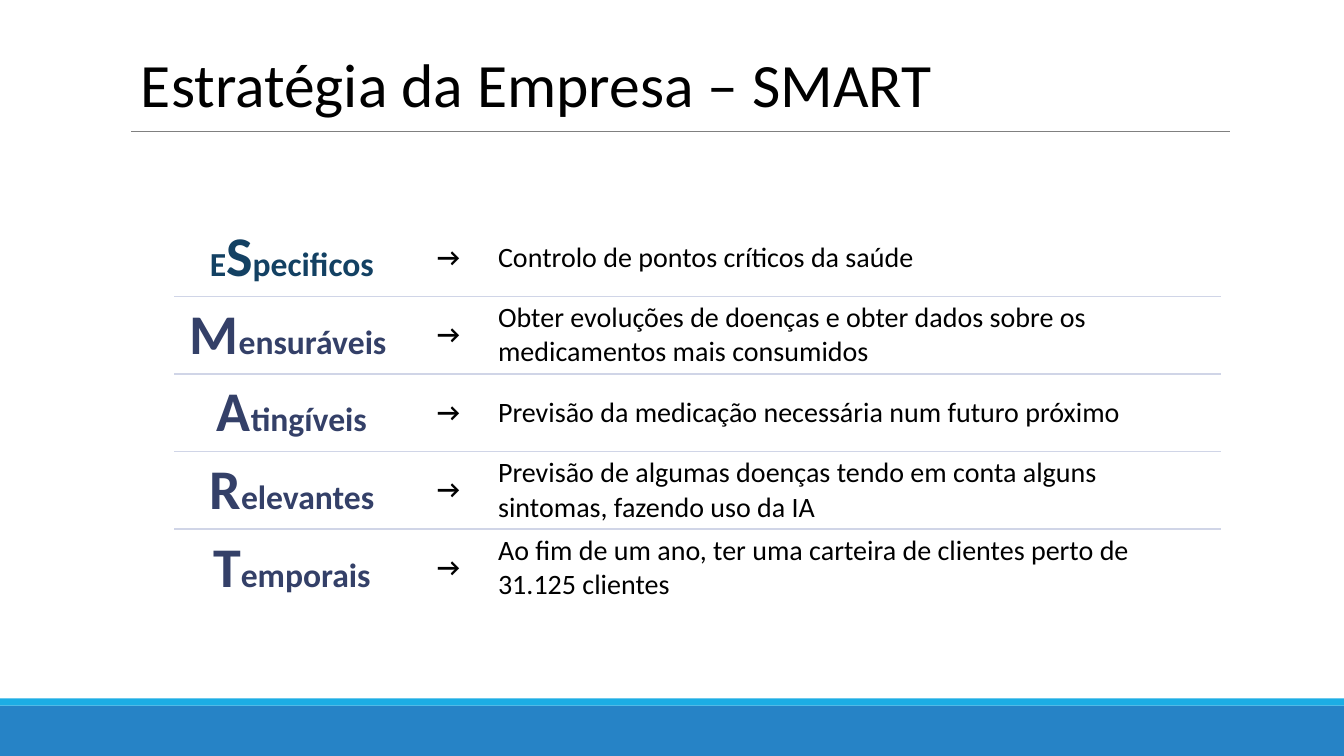
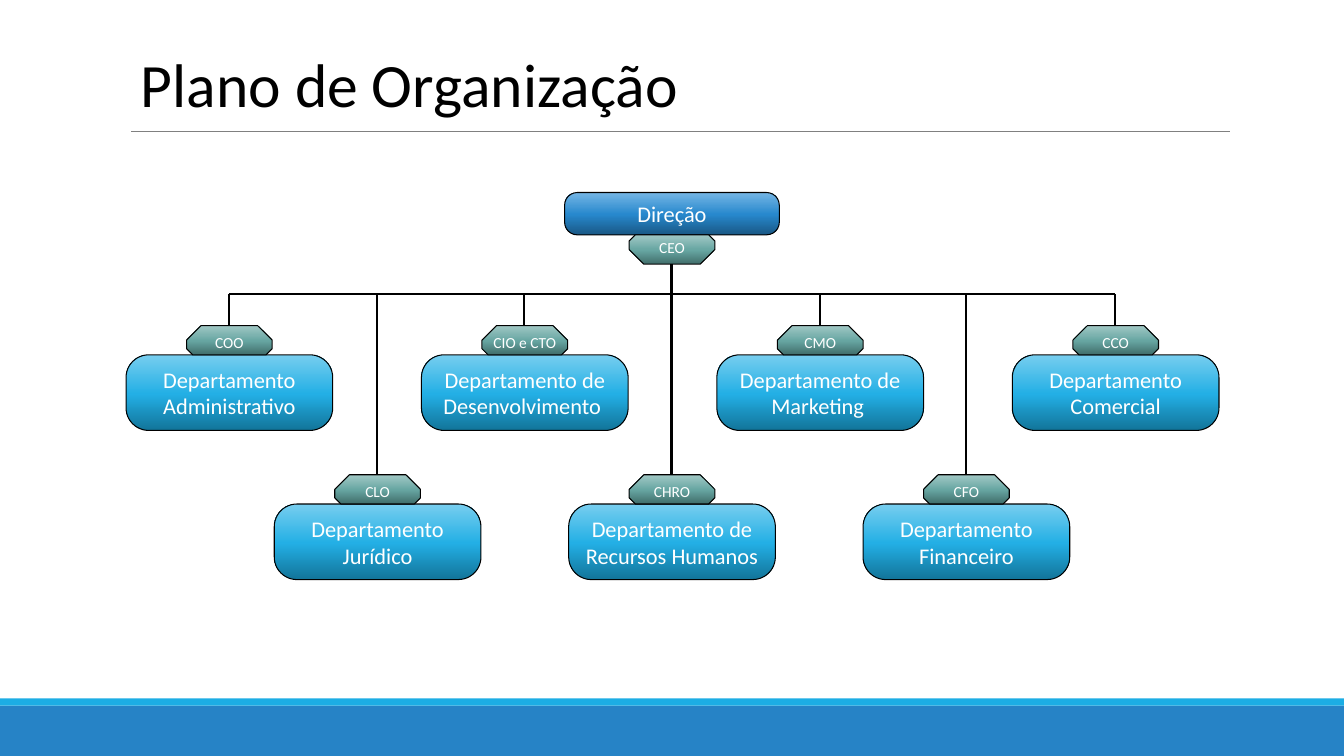
"""Build two slides: the SMART strategy table and the organisation chart."""
from copy import deepcopy
from dataclasses import dataclass

from pptx import Presentation
from pptx.dml.color import RGBColor
from pptx.enum.shapes import MSO_CONNECTOR, MSO_SHAPE
from pptx.enum.text import MSO_ANCHOR, PP_ALIGN
from pptx.oxml import parse_xml
from pptx.oxml.ns import nsdecls, qn
from pptx.presentation import Presentation as Deck
from pptx.shapes.autoshape import Shape
from pptx.slide import Slide
from pptx.table import _Cell as Cell
from pptx.text.text import TextFrame, _Paragraph as Para
from pptx.util import Emu, Pt

RECT, ROUND = MSO_SHAPE.RECTANGLE, MSO_SHAPE.ROUNDED_RECTANGLE
SNIP = MSO_SHAPE.SNIP_2_SAME_RECTANGLE
STRAIGHT = MSO_CONNECTOR.STRAIGHT
MIDDLE = MSO_ANCHOR.MIDDLE
LEFT, CENTER = PP_ALIGN.LEFT, PP_ALIGN.CENTER

SCALE = 9144
FONT = "Calibri"
PLAIN = "{2D5ABB26-0587-4C30-8999-92F81FD0307C}"

BLACK = RGBColor(0x00, 0x00, 0x00)
WHITE = RGBColor(0xFF, 0xFF, 0xFF)
GRAY = RGBColor(0x80, 0x80, 0x80)
BLUE = RGBColor(0x26, 0x83, 0xC6)
CYAN = RGBColor(0x1C, 0xAD, 0xE4)
RULE = RGBColor(0xD0, 0xD5, 0xE7)
TEAL = RGBColor(0x13, 0x41, 0x63)
NAVY = RGBColor(0x34, 0x40, 0x68)

Blend = tuple[RGBColor, RGBColor, RGBColor]
STOPS = (0, 0.48, 1)
SKY: Blend = (RGBColor(0x12, 0x74, 0x99), RGBColor(0x23, 0xAF, 0xE5), RGBColor(0x77, 0xCE, 0xEF))
SEA: Blend = (RGBColor(0x41, 0x6E, 0x6B), RGBColor(0x67, 0xA6, 0xA2), RGBColor(0xA1, 0xC8, 0xC5))
DEEP: Blend = (RGBColor(0x19, 0x58, 0x85), RGBColor(0x27, 0x88, 0xCD), RGBColor(0x75, 0xB6, 0xE5))


@dataclass(frozen=True)
class Box:
    """A rectangle in px."""
    x: int
    y: int
    w: int
    h: int

    def emu(self) -> tuple[Emu, Emu, Emu, Emu]:
        """Return the rectangle in EMU."""
        return px(self.x), px(self.y), px(self.w), px(self.h)


@dataclass(frozen=True)
class Goal:
    """One row of the SMART table."""
    lead: str
    cap: str
    rest: str
    text: str
    color: RGBColor = NAVY


@dataclass(frozen=True)
class Kind:
    """The look of one kind of chart box."""
    form: int
    adjust: tuple[float, ...]
    blend: Blend
    inset: int
    size: int


@dataclass(frozen=True)
class Unit:
    """A department and the title of its head."""
    name: str
    head: str


@dataclass(frozen=True)
class Tier:
    """A row of evenly spaced departments."""
    x: int
    y: int
    step: int
    units: tuple[Unit, ...]


GOALS = (
    Goal("E", "S", "pecificos", "Controlo de pontos críticos da saúde", TEAL),
    Goal("", "M", "ensuráveis ",
         "Obter evoluções de doenças e obter dados sobre os medicamentos mais consumidos"),
    Goal("", "A", "tingíveis", "Previsão da medicação necessária num futuro próximo"),
    Goal("", "R", "elevantes",
         "Previsão de algumas doenças tendo em conta alguns sintomas, fazendo uso da IA"),
    Goal("", "T", "emporais",
         "Ao fim de um ano, ter uma carteira de clientes perto de 31.125 clientes"),
)
COLS = (233, 78, 727)
ROW = 77

CHIEF = Kind(ROUND, (0.3,), DEEP, 4, 16)
DEPT = Kind(ROUND, (0.3,), SKY, 4, 16)
HEAD = Kind(SNIP, (0.5, 0.21), SEA, 0, 11)
CEO = Kind(SNIP, (0.21, 0.5), SEA, 0, 11)
TIERS = (
    Tier(125, 352, 293, (
        Unit("Departamento Administrativo", "COO"),
        Unit("Departamento de Desenvolvimento ", "CIO e CTO"),
        Unit("Departamento de Marketing ", "CMO"),
        Unit("Departamento Comercial", "CCO"))),
    Tier(272, 500, 292, (
        Unit("Departamento Jurídico", "CLO"),
        Unit("Departamento de Recursos Humanos", "CHRO"),
        Unit("Departamento Financeiro", "CFO"))),
)
DEPT_W, DEPT_H = 205, 75
HEAD_W, HEAD_H = 85, 29
BAR_Y = 292
MID_X = 666


def px(n: int) -> Emu:
    """Turn px into EMU."""
    return Emu(n * SCALE)


def write(para: Para, text: str, size: int, color: RGBColor, bold: bool = False) -> None:
    """Add one run of text."""
    run = para.add_run()
    run.text = text
    for key, value in {"name": FONT, "size": Pt(size), "bold": bold}.items():
        setattr(run.font, key, value)
    run.font.color.rgb = color


def inset(item: TextFrame | Cell, side: int, edge: int) -> None:
    """Set the margins around text and centre it vertically."""
    values = {"margin_left": px(side), "margin_right": px(side), "margin_top": px(edge),
              "margin_bottom": px(edge), "vertical_anchor": MIDDLE, "word_wrap": True}
    for key, value in values.items():
        if hasattr(item, key):
            setattr(item, key, value)


def shape(slide: Slide, form: int, box: Box) -> Shape:
    """Add a shape without a shadow."""
    item = slide.shapes.add_shape(form, *box.emu())
    item.shadow.inherit = False
    return item


def line(slide: Slide, start: tuple[int, int], end: tuple[int, int],
         color: RGBColor, width: float) -> None:
    """Draw a straight line."""
    item = slide.shapes.add_connector(STRAIGHT, *(px(n) for n in start + end))
    item.line.color.rgb = color
    item.line.width = Pt(width)
    item.element.spPr.append(parse_xml(f"<a:effectLst {nsdecls('a')}/>"))


def start(deck: Deck, title: str) -> Slide:
    """Add a slide with its bands, title and rule."""
    slide = deck.slides.add_slide(deck.slide_layouts[6])
    for box, color in ((Box(0, 700, 1333, 50), BLUE), (Box(0, 693, 1333, 7), CYAN)):
        band = shape(slide, RECT, box)
        band.fill.solid()
        band.fill.fore_color.rgb = color
        band.line.fill.background()
    frame = slide.shapes.add_textbox(*Box(130, 41, 1047, 84).emu()).text_frame
    frame.word_wrap = True
    write(frame.paragraphs[0], title, 44, BLACK)
    line(slide, (130, 130), (1220, 130), GRAY, 0.5)
    return slide


def border(cell: Cell) -> None:
    """Rule the bottom of a cell."""
    rule = parse_xml(
        f'<a:lnB {nsdecls("a")} w="{Pt(1)}"><a:solidFill>'
        f'<a:srgbClr val="{RULE}"/></a:solidFill></a:lnB>')
    cell._tc.get_or_add_tcPr().insert(0, rule)


def goals(slide: Slide) -> None:
    """Draw the SMART table."""
    box = Box(173, 217, sum(COLS), ROW * len(GOALS))
    table = slide.shapes.add_table(len(GOALS), len(COLS), *box.emu()).table
    table.first_row = table.horz_banding = False
    table._tbl.tblPr.find(qn("a:tableStyleId")).text = PLAIN
    for col, width in zip(table.columns, COLS):
        col.width = px(width)
    for row, goal in zip(table.rows, GOALS):
        row.height = px(ROW)
        parts = (
            (CENTER, ((goal.lead, 24, goal.color, True), (goal.cap, 40, goal.color, True),
                      (goal.rest, 24, goal.color, True))),
            (CENTER, (("→", 18, BLACK, True),)),
            (LEFT, ((goal.text, 20, BLACK, False),)),
        )
        for cell, (align, runs) in zip(row.cells, parts):
            inset(cell, 10, 4)
            cell.fill.background()
            para = cell.text_frame.paragraphs[0]
            para.alignment = align
            for run in runs:
                if run[0]:
                    write(para, *run)
            if goal is not GOALS[-1]:
                border(cell)
        cell.margin_right = px(20)


def node(slide: Slide, kind: Kind, box: Box, text: str) -> None:
    """Draw one box of the chart."""
    item = shape(slide, kind.form, box)
    for i, value in enumerate(kind.adjust):
        item.adjustments[i] = value
    fill = item.fill
    fill.gradient()
    stops = item.element.spPr.find(".//" + qn("a:gsLst"))
    stops.insert(1, deepcopy(stops[0]))
    for stop, place, color in zip(fill.gradient_stops, STOPS, kind.blend):
        stop.position = place
        stop.color.rgb = color
    fill.gradient_angle = 90
    item.line.color.rgb = BLACK
    item.line.width = Pt(0.75)
    inset(item.text_frame, kind.inset, kind.inset)
    para = item.text_frame.paragraphs[0]
    para.alignment = CENTER
    write(para, text, kind.size, WHITE)


def chart(slide: Slide) -> None:
    """Draw the organisation chart."""
    first = TIERS[0]
    left = first.x + DEPT_W // 2
    right = left + first.step * (len(first.units) - 1)
    line(slide, (left, BAR_Y), (right, BAR_Y), BLACK, 1.5)
    line(slide, (MID_X, 233 + HEAD_H), (MID_X, BAR_Y), BLACK, 1.5)
    node(slide, CHIEF, Box(560, 191, 213, 42), "Direção")
    node(slide, CEO, Box(MID_X - HEAD_W // 2, 233, HEAD_W, HEAD_H), "CEO")
    for tier in TIERS:
        top = tier.y - HEAD_H
        for i, unit in enumerate(tier.units):
            x = tier.x + i * tier.step
            mid = x + DEPT_W // 2
            line(slide, (mid, BAR_Y), (mid, top), BLACK, 1.5)
            node(slide, DEPT, Box(x, tier.y, DEPT_W, DEPT_H), unit.name)
            node(slide, HEAD, Box(mid - HEAD_W // 2, top, HEAD_W, HEAD_H), unit.head)


def main() -> None:
    """Build and save the deck."""
    deck = Presentation()
    deck.slide_width, deck.slide_height = px(1333), px(750)
    goals(start(deck, "Estratégia da Empresa – SMART"))
    chart(start(deck, "Plano de Organização"))
    deck.save("out.pptx")


if __name__ == "__main__":
    main()
